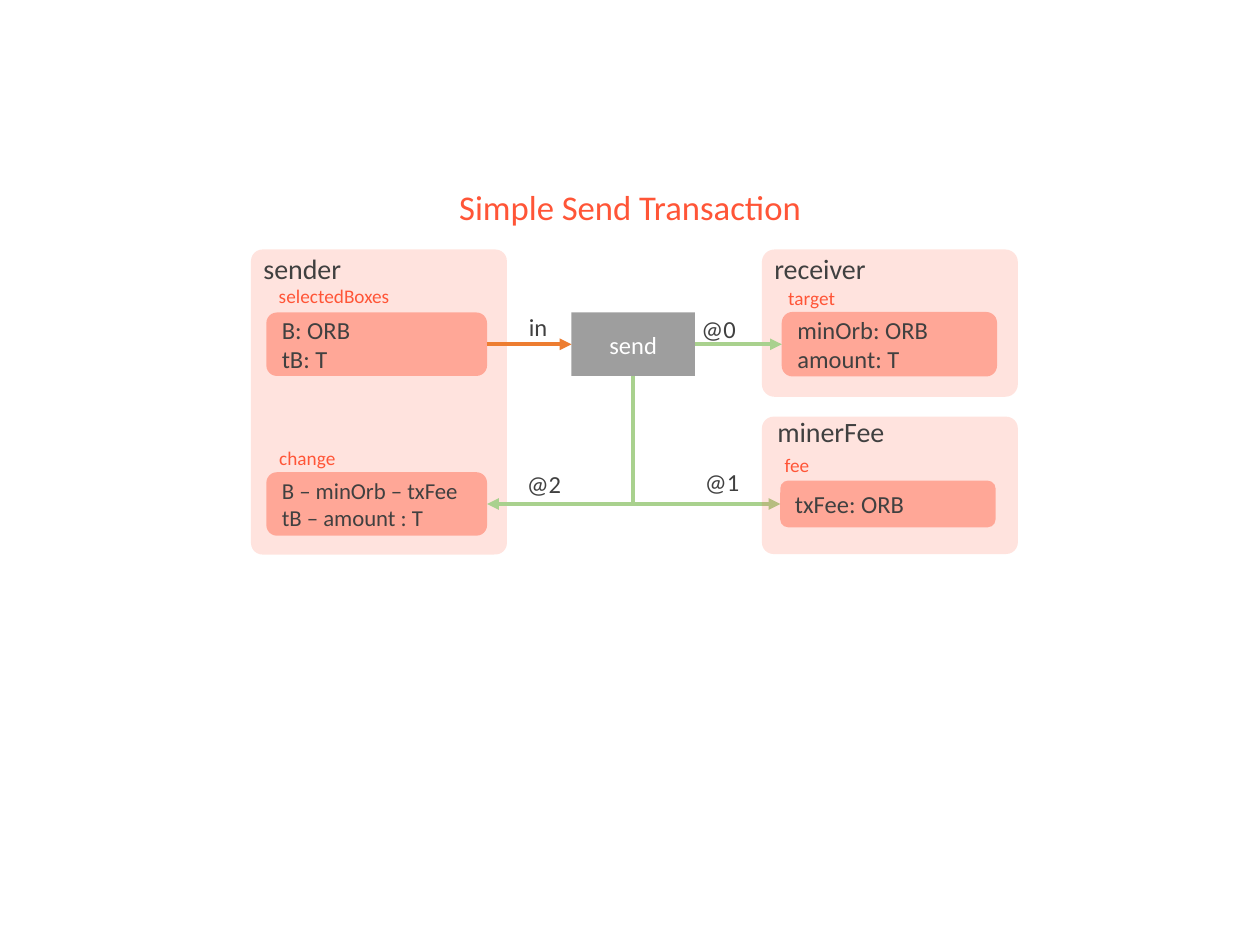
from lxml.etree import SubElement
from pptx import Presentation
from pptx.dml.color import RGBColor
from pptx.enum.shapes import MSO_CONNECTOR as LINK, MSO_SHAPE as SHAPE
from pptx.enum.text import MSO_ANCHOR as ANCHOR, PP_ALIGN as ALIGN
from pptx.oxml.ns import qn
from pptx.util import Cm, Pt

HUES = {"red": "FF5537", "grey": "595959", "text": "404040",
        "white": "FFFFFF", "green": "A9D18E", "orange": "ED7D31"}
FONT = "Calibri"
TITLE = "Simple Send Transaction"

# Lengths in cm: left, top, width, height
PANELS = [((5.06, 5.03, 5.16, 6.15), 0.045),
          ((15.36, 5.03, 5.16, 2.97), 0.085),
          ((15.36, 8.4, 5.16, 2.77), 0.085)]
BOXES = {"pick": ((5.37, 6.3, 4.45, 1.28), 14, ["B: ORB", "tB: T"]),
         "change": ((5.37, 9.52, 4.45, 1.28), 13,
                    ["B – minOrb – txFee", "tB – amount : T"]),
         "target": ((15.76, 6.29, 4.34, 1.3), 14, ["minOrb: ORB", "amount: T"]),
         "fee": ((15.73, 9.69, 4.34, 0.94), 14, ["txFee: ORB"])}
SEND = (11.52, 6.3, 2.49, 1.28)

# Label styles: size, colour, height, wrap
STYLES = {"owner": (16, "text", 0.94, False),
          "role": (11, "red", 0.74, True),
          "link": (14, "text", 0.86, False)}
LABELS = [("owner", "sender", 5.06, 4.94, 2.11),
          ("owner", "receiver", 15.36, 4.94, 2.39),
          ("owner", "minerFee", 15.42, 8.23, 2.69),
          ("role", "selectedBoxes", 5.37, 5.61, 3.28),
          ("role", "change", 5.38, 8.87, 3.28),
          ("role", "target", 15.64, 5.65, 3.28),
          ("role", "fee", 15.57, 9.02, 3.28),
          ("link", "in", 10.41, 6.17, 0.89),
          ("link", "@0", 13.89, 6.2, 1.22),
          ("link", "@1", 13.96, 9.3, 1.22),
          ("link", "@2", 10.37, 9.33, 1.22)]


def rgb(hue):
    """Return the named colour."""
    return RGBColor.from_string(HUES[hue])


def write(shape, lines, size, hue, align=ALIGN.LEFT, **frame):
    """Put lines of text in a shape and format them."""
    text = shape.text_frame
    text.text = "\n".join(lines)
    for name, value in frame.items():
        setattr(text, name, value)
    for para in text.paragraphs:
        para.alignment = align
        for run in para.runs:
            for name, value in {"name": FONT, "size": Pt(size)}.items():
                setattr(run.font, name, value)
            run.font.color.rgb = rgb(hue)


def block(kind, place, hue, alpha):
    """Add a translucent shape without an outline."""
    shape = shapes.add_shape(kind, *map(Cm, place))
    shape.shadow.inherit = False
    shape.line.fill.background()
    shape.fill.solid()
    shape.fill.fore_color.rgb = rgb(hue)
    tone = shape.fill._xPr.find(".//" + qn("a:srgbClr"))
    SubElement(tone, qn("a:alpha"), val=str(alpha * 1000))
    return shape


def arrow(kind, ends, hue):
    """Add a connector with an arrowhead at its end."""
    link = shapes.add_connector(kind, *map(Cm, ends))
    link.line.width = Pt(2.25)
    link.line.color.rgb = rgb(hue)
    SubElement(link.line._get_or_add_ln(), qn("a:tailEnd"), type="triangle")
    SubElement(link._element.spPr, qn("a:effectLst"))
    return link


def join(start, end, hue):
    """Link the right side of one shape to the left side of another."""
    link = arrow(LINK.STRAIGHT, (0, 0, 1, 1), hue)
    link.begin_connect(start, 3)
    link.end_connect(end, 1)


def bend(x, y, goal, floor):
    """Add an arrow that goes down from x, y, then sideways to the goal."""
    mid, half = (x + goal) / 2, abs(goal - x) / 2
    core, drop = (y + floor) / 2, (floor - y) / 2
    link = arrow(LINK.ELBOW, (mid - drop, core - half, mid + drop, core + half),
                 "green")
    props = link._element.spPr
    props.find(qn("a:prstGeom")).set("prst", "bentConnector2")
    turn = {"rot": "16200000", "flipH": "1"} if goal > x else {"rot": "5400000"}
    for name, value in turn.items():
        props.find(qn("a:xfrm")).set(name, value)


deck = Presentation()
deck.slide_width, deck.slide_height = Cm(25.4), Cm(19.05)
slide = deck.slides.add_slide(deck.slide_layouts[5])
shapes = slide.shapes

title = shapes.title
spots = zip(("left", "top", "width", "height"), (8.84, 3.84, 7.72, 0.94))
for name, value in spots:
    setattr(title, name, Cm(value))
write(title, [TITLE], 19.8, "red", ALIGN.CENTER, vertical_anchor=ANCHOR.TOP)
title.text_frame.paragraphs[0].line_spacing = 0.7

left, top, width, height = SEND
foot = (left + width / 2, top + height)
floor = BOXES["fee"][0][1] + BOXES["fee"][0][3] / 2
edge = BOXES["change"][0][0] + BOXES["change"][0][2]

bend(*foot, BOXES["fee"][0][0], floor)
for place, curve in PANELS:
    block(SHAPE.ROUNDED_RECTANGLE, place, "red", 16).adjustments[0] = curve
bend(*foot, edge, floor)

boxes = {}
for name, (place, size, lines) in BOXES.items():
    boxes[name] = block(SHAPE.ROUNDED_RECTANGLE, place, "red", 42)
    write(boxes[name], lines, size, "text", vertical_anchor=ANCHOR.MIDDLE)
send = block(SHAPE.RECTANGLE, SEND, "grey", 58)
write(send, ["send"], 14, "white", ALIGN.CENTER, vertical_anchor=ANCHOR.MIDDLE)
join(boxes["pick"], send, "orange")
join(send, boxes["target"], "green")

for style, words, left, top, width in LABELS:
    size, hue, height, wrap = STYLES[style]
    label = shapes.add_textbox(*map(Cm, (left, top, width, height)))
    write(label, [words], size, hue, word_wrap=wrap)

deck.save("out.pptx")
